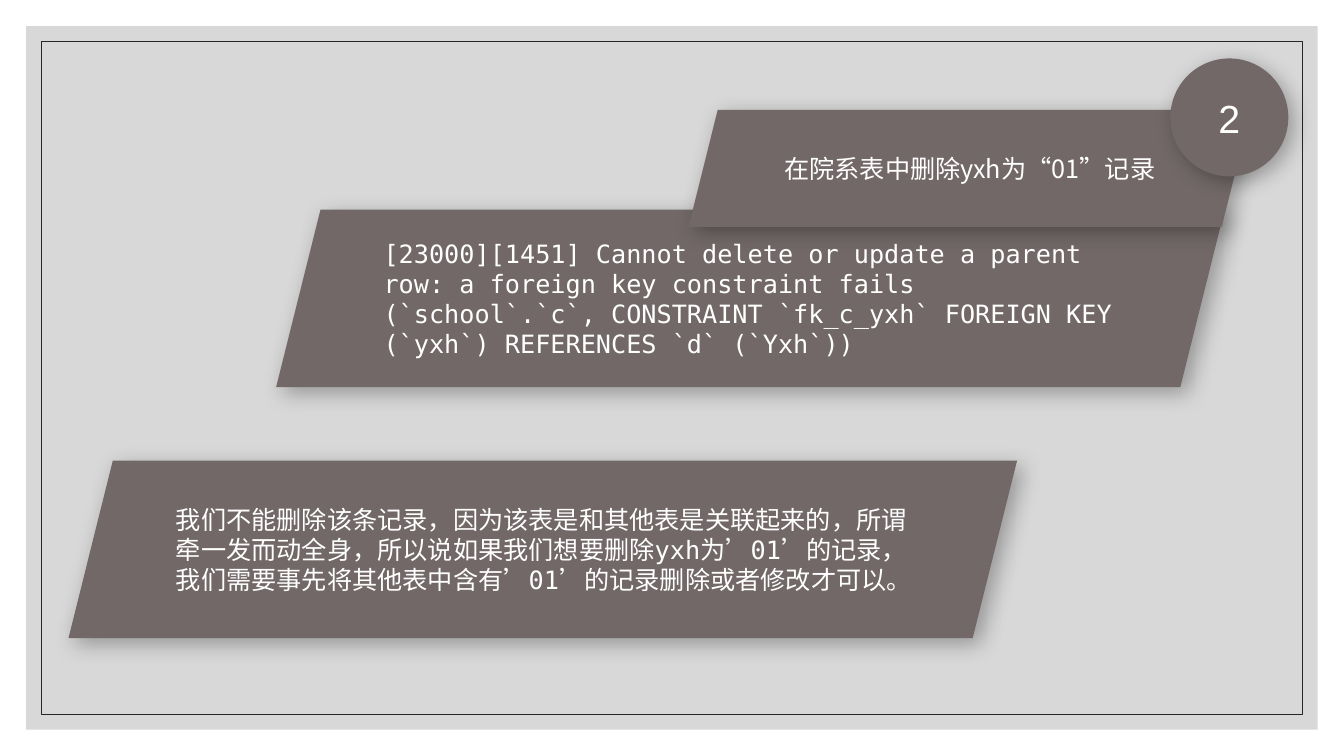
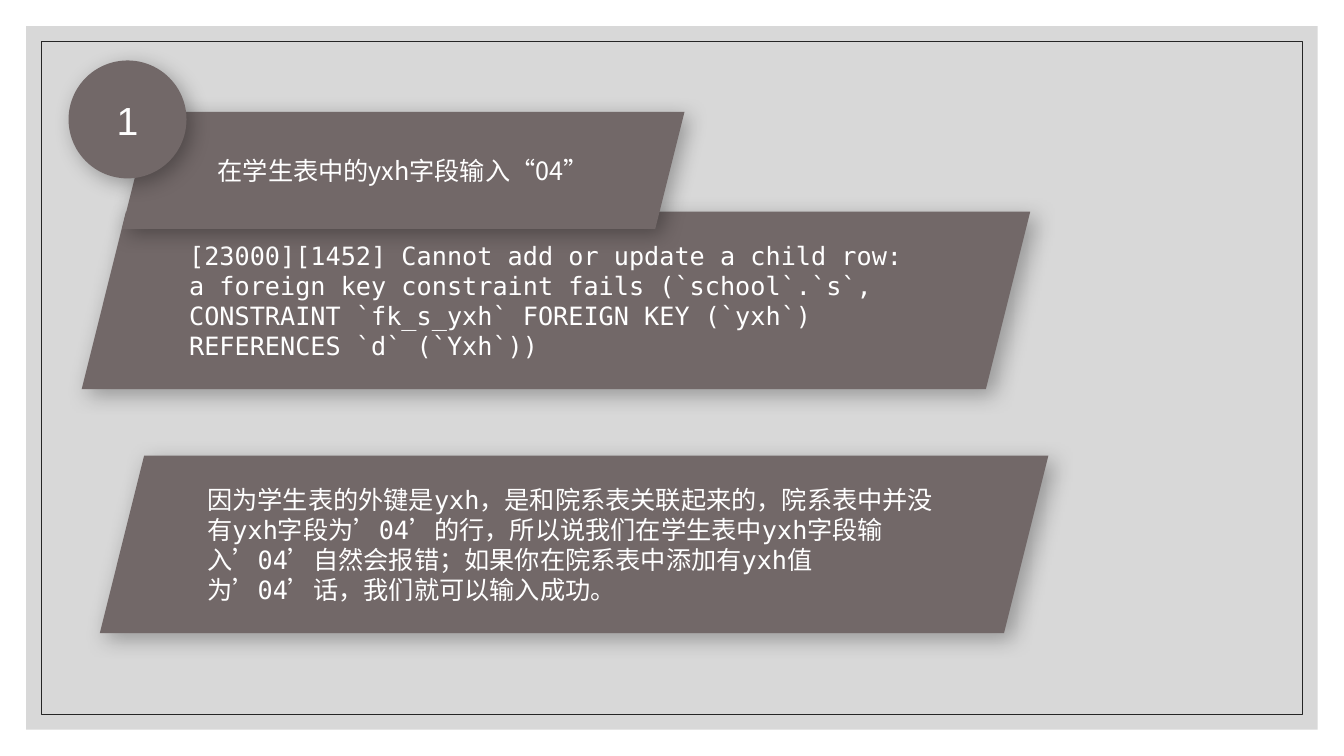
from lxml import etree
from pptx import Presentation
from pptx.dml.color import RGBColor
from pptx.enum.shapes import MSO_SHAPE
from pptx.enum.text import MSO_ANCHOR, PP_ALIGN
from pptx.oxml.ns import qn
from pptx.util import Inches, Pt

RECT, SLANT, CIRCLE = MSO_SHAPE.RECTANGLE, MSO_SHAPE.PARALLELOGRAM, MSO_SHAPE.OVAL
LEFT, CENTER = PP_ALIGN.LEFT, PP_ALIGN.CENTER
MIDDLE = MSO_ANCHOR.MIDDLE

COLORS = {"backdrop": "BFBFBF", "border": "262626", "panel": "726868",
          "text": "FFFFFF", "shadow": "000000"}
SANS, MONO, CJK = "Arial", "DejaVu Sans Mono", "Noto Sans CJK SC"

# Places and sizes are percentages of the slide's width and height
WIDTH, HEIGHT = Inches(13.333), Inches(7.5)
WIDE_PANEL = (70.58, 23.47)
TASK_PANEL = (41.85, 15.47)
BADGE = (8.78, 15.6)
TASK_DROP, ERROR_DROP = 6.8, 20  # below the top of the badge

CASES = [
    {
        "number": "2", "top": 7.73,
        "badge_x": 87.08, "task_x": 51.23, "error_x": 20.55,
        "reason_at": (5.1, 60.93),
        "task": "在院系表中删除yxh为“01”记录",
        "error": "[23000][1451] Cannot delete or update a parent row: "
                 "a foreign key constraint fails (`school`.`c`, CONSTRAINT "
                 "`fk_c_yxh` FOREIGN KEY (`yxh`) REFERENCES `d` (`Yxh`))",
        "reason": "我们不能删除该条记录，因为该表是和其他表是关联起来的，"
                  "所谓牵一发而动全身，所以说如果我们想要删除yxh为’01’的记录，"
                  "我们需要事先将其他表中含有’01’的记录删除或者修改才可以。",
    },
    {
        "number": "1", "top": 8,
        "badge_x": 5.1, "task_x": 9.08, "error_x": 6.08,
        "reason_at": (7.43, 60.27),
        "task": "在学生表中的yxh字段输入“04”",
        "error": "[23000][1452] Cannot add or update a child row: "
                 "a foreign key constraint fails (`school`.`s`, CONSTRAINT "
                 "`fk_s_yxh` FOREIGN KEY (`yxh`) REFERENCES `d` (`Yxh`))",
        "reason": "因为学生表的外键是yxh，是和院系表关联起来的，"
                  "院系表中并没有yxh字段为’04’的行，所以说我们在学生表中"
                  "yxh字段输入’04’自然会报错；如果你在院系表中添加有yxh值"
                  "为’04’话，我们就可以输入成功。",
    },
]


def color(key):
    return RGBColor.from_string(COLORS[key])


def set_alpha(color_element, percent):
    etree.SubElement(color_element, qn("a:alpha"), val=str(percent * 1000))


def add_block(slide, kind, x, y, width, height, fill=None, line=None):
    block = slide.shapes.add_shape(
        kind, int(WIDTH * x / 100), int(HEIGHT * y / 100),
        int(WIDTH * width / 100), int(HEIGHT * height / 100))
    block.shadow.inherit = False
    if fill:
        block.fill.solid()
        block.fill.fore_color.rgb = color(fill)
    else:
        block.fill.background()
    if line:
        block.line.color.rgb = color(line)
        block.line.width = Pt(0.5)
    else:
        block.line.fill.background()
    return block


def cast_shadow(block):
    effects = block._element.spPr.find(qn("a:effectLst"))
    shadow = etree.SubElement(
        effects, qn("a:outerShdw"), blurRad=str(int(Pt(15))),
        dist=str(int(Pt(5))), dir=str(45 * 60000), algn="tl",
        rotWithShape="0")
    tint = etree.SubElement(shadow, qn("a:srgbClr"), val=COLORS["shadow"])
    set_alpha(tint, 30)


def write(block, text, font=MONO, points=18, align=LEFT):
    frame = block.text_frame
    frame.word_wrap = True
    frame.vertical_anchor = MIDDLE
    paragraph = frame.paragraphs[0]
    paragraph.alignment = align
    run = paragraph.add_run()
    run.text = text
    run.font.name = font
    run.font.size = Pt(points)
    run.font.color.rgb = color("text")
    # Chinese characters take their own typeface
    latin = run._r.rPr.find(qn("a:latin"))
    latin.addnext(etree.Element(qn("a:ea"), typeface=CJK))


def add_panel(slide, kind, x, y, extent, text, **text_format):
    panel = add_block(slide, kind, x, y, *extent, fill="panel")
    cast_shadow(panel)
    write(panel, text, **text_format)


def add_frame(slide, layout):
    """Put the grey backdrop and its thin border on the shared layout."""
    for placeholder in list(layout.placeholders):
        placeholder._element.getparent().remove(placeholder._element)
    backdrop = add_block(slide, RECT, 1.95, 3.47, 96.1, 93.06, fill="backdrop")
    set_alpha(backdrop._element.spPr.find(qn("a:solidFill"))[0], 60)
    border = add_block(slide, RECT, 3.08, 5.47, 93.84, 89.06, line="border")
    for part in (backdrop, border):
        layout.shapes._spTree.append(part._element)


def add_case(slide, case):
    top = case["top"]
    add_panel(slide, SLANT, case["error_x"], top + ERROR_DROP, WIDE_PANEL,
              case["error"])
    add_panel(slide, SLANT, case["task_x"], top + TASK_DROP, TASK_PANEL,
              case["task"], font=CJK, align=CENTER)
    add_panel(slide, CIRCLE, case["badge_x"], top, BADGE,
              case["number"], font=SANS, points=28, align=CENTER)
    add_panel(slide, SLANT, *case["reason_at"], WIDE_PANEL, case["reason"])


def main():
    deck = Presentation()
    deck.slide_width, deck.slide_height = WIDTH, HEIGHT
    blank = deck.slide_layouts[6]
    slides = [deck.slides.add_slide(blank) for _ in CASES]
    add_frame(slides[0], blank)
    for slide, case in zip(slides, CASES):
        add_case(slide, case)
    deck.save("out.pptx")


if __name__ == "__main__":
    main()
